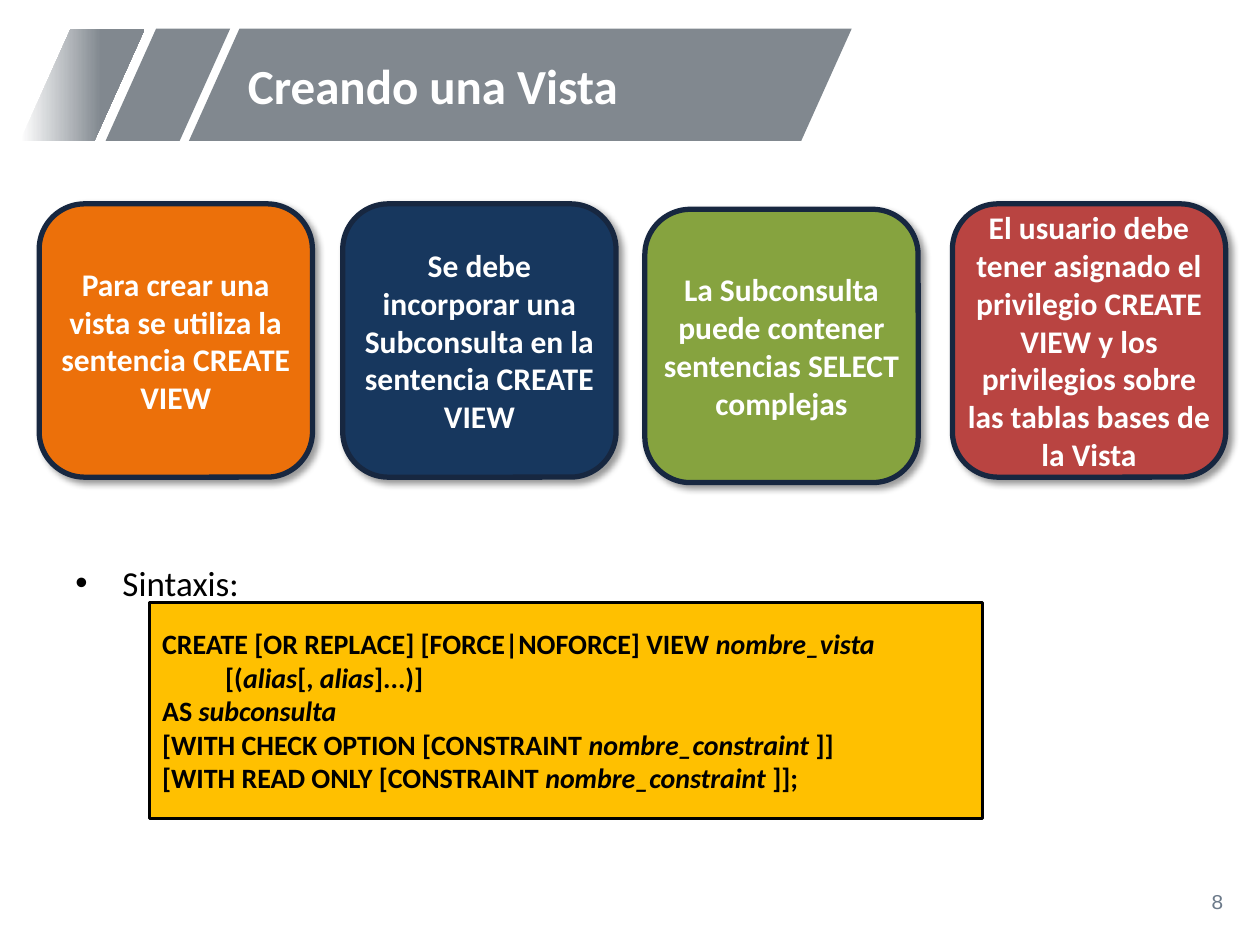
from dataclasses import dataclass

import pptx
import pptx.dml.color
import pptx.enum.shapes
import pptx.enum.text
import pptx.oxml
import pptx.oxml.ns
import pptx.util

Cm = pptx.util.Cm
Pt = pptx.util.Pt
ShapeType = pptx.enum.shapes.MSO_SHAPE
Anchor = pptx.enum.text.MSO_ANCHOR
Align = pptx.enum.text.PP_ALIGN

COLORS = {
    "banner": "81888F", "white": "FFFFFF", "black": "000000",
    "number": "6C7A8A", "outline": "172740", "orange": "EC700A",
    "navy": "17375E", "green": "86A33F", "red": "B94441", "code": "FFC000",
}
NAMESPACE = pptx.oxml.ns.nsdecls("a")
SHADOW = (
    f'<a:outerShdw {NAMESPACE} blurRad="{Pt(4)}" dist="{Pt(3)}" dir="2700000" '
    f'algn="tl" rotWithShape="0"><a:srgbClr val="{COLORS["black"]}">'
    '<a:alpha val="40000"/></a:srgbClr></a:outerShdw>'
)


@dataclass
class Box:
    """Position and size in centimetres."""
    left: float
    top: float
    width: float
    height: float

    def lengths(self) -> tuple:
        return Cm(self.left), Cm(self.top), Cm(self.width), Cm(self.height)


@dataclass
class Style:
    size: float
    color: str
    bold: bool = False
    font: str = "Calibri"


@dataclass
class Card:
    text: str
    color: str
    left: float
    top: float = 4.11


BANNER_TOP, BANNER_HEIGHT = 0.58, 2.26
CARD_SIZE = 5.51
CARDS = [
    Card("Para crear una vista se utiliza la sentencia CREATE VIEW", "orange", 0.79),
    Card("Se debe incorporar una Subconsulta en la sentencia CREATE VIEW", "navy", 6.91),
    Card("La Subconsulta puede contener sentencias SELECT complejas", "green", 13, 4.22),
    Card("El usuario debe tener asignado el privilegio CREATE VIEW y los "
         "privilegios sobre las tablas bases de la Vista", "red", 19.2),
]
# Each line alternates upright and italic parts, starting upright.
CODE_LINES = [
    ["CREATE [OR REPLACE] [FORCE|NOFORCE] VIEW ", "nombre_vista"],
    ["          [(", "alias", "[, ", "alias", "]...)]"],
    ["AS ", "subconsulta"],
    ["[WITH CHECK OPTION [CONSTRAINT ", "nombre_constraint ", "]]"],
    ["[WITH READ ONLY [CONSTRAINT ", "nombre_constraint", " ]];"],
]


def rgb(name: str) -> pptx.dml.color.RGBColor:
    return pptx.dml.color.RGBColor.from_string(COLORS[name])


def add_filled_shape(slide, kind, box: Box, fill: str, line: str = "", line_width: float = 0):
    shape = slide.shapes.add_shape(kind, *box.lengths())
    shape.fill.solid()
    shape.fill.fore_color.rgb = rgb(fill)
    if line:
        shape.line.color.rgb = rgb(line)
        shape.line.width = Pt(line_width)
    else:
        shape.line.fill.background()
    shape.shadow.inherit = False
    return shape


def add_run(paragraph, text: str, style: Style, italic: bool = False) -> None:
    run = paragraph.add_run()
    run.text = text
    run.font.name = style.font
    run.font.size = Pt(style.size)
    run.font.bold = style.bold
    run.font.italic = italic
    run.font.color.rgb = rgb(style.color)


def add_text_box(slide, box: Box, text: str, style: Style,
                 anchor=Anchor.MIDDLE, alignment=Align.LEFT):
    """Add a one-paragraph text box and return its paragraph."""
    frame = slide.shapes.add_textbox(*box.lengths()).text_frame
    frame.word_wrap = True
    frame.vertical_anchor = anchor
    paragraph = frame.paragraphs[0]
    paragraph.alignment = alignment
    add_run(paragraph, text, style)
    return paragraph


def add_banner(slide) -> None:
    for left, width in [(3.81, 13.36), (2.13, 2.51), (0.41, 2.51)]:
        box = Box(left, BANNER_TOP, width, BANNER_HEIGHT)
        stripe = add_filled_shape(slide, ShapeType.PARALLELOGRAM, box, "banner")
        stripe.adjustments[0] = 0.45
    # The leftmost stripe fades in from white.
    stripe.fill.gradient()
    stripe.fill.gradient_angle = 0
    for stop, color, position in zip(stripe.fill.gradient_stops, ("white", "banner"), (0, 0.65)):
        stop.color.rgb = rgb(color)
        stop.position = position


def add_card(slide, card: Card) -> None:
    box = Box(card.left, card.top, CARD_SIZE, CARD_SIZE)
    shape = add_filled_shape(slide, ShapeType.ROUNDED_RECTANGLE, box, card.color, "outline", 3)
    effects = shape.element.spPr.find(pptx.oxml.ns.qn("a:effectLst"))
    effects.append(pptx.oxml.parse_xml(SHADOW))
    frame = shape.text_frame
    frame.word_wrap = True
    frame.vertical_anchor = Anchor.MIDDLE
    frame.margin_left = frame.margin_right = 0
    paragraph = frame.paragraphs[0]
    paragraph.alignment = Align.CENTER
    add_run(paragraph, card.text, Style(18, "white", bold=True))


def add_bullet(paragraph, indent: float) -> None:
    properties = paragraph._p.get_or_add_pPr()
    properties.set("marL", str(Cm(indent)))
    properties.set("indent", str(-Cm(indent)))
    properties.append(pptx.oxml.parse_xml(f'<a:buFont {NAMESPACE} typeface="Arial"/>'))
    properties.append(pptx.oxml.parse_xml(f'<a:buChar {NAMESPACE} char="•"/>'))


def add_code(slide) -> None:
    box = Box(3.02, 12.14, 16.79, 4.37)
    frame = add_filled_shape(slide, ShapeType.RECTANGLE, box, "code", "black", 1.75).text_frame
    frame.word_wrap = True
    frame.vertical_anchor = Anchor.MIDDLE
    style = Style(16, "black", bold=True)
    for index, parts in enumerate(CODE_LINES):
        paragraph = frame.add_paragraph() if index else frame.paragraphs[0]
        paragraph.alignment = Align.LEFT
        for part_index, part in enumerate(parts):
            add_run(paragraph, part, style, italic=part_index % 2 == 1)


def main() -> None:
    presentation = pptx.Presentation()
    presentation.slide_width, presentation.slide_height = Cm(25.4), Cm(19.05)
    slide = presentation.slides.add_slide(presentation.slide_layouts[6])

    add_banner(slide)
    add_text_box(slide, Box(19.2, 17.65, 5.72, 1.02), "8",
                 Style(12, "number", font="Courier New"), alignment=Align.RIGHT)
    title = add_text_box(slide, Box(4.75, 0.66, 12.09, 2.26), "Creando una Vista",
                         Style(28, "white", bold=True))
    title.line_spacing = 0.9
    syntax = add_text_box(slide, Box(1.27, 11.2, 22.86, 5.2), "Sintaxis:",
                          Style(20, "black"), anchor=Anchor.TOP)
    add_bullet(syntax, 0.95)
    for card in CARDS:
        add_card(slide, card)
    add_code(slide)
    presentation.save("out.pptx")


if __name__ == "__main__":
    main()
